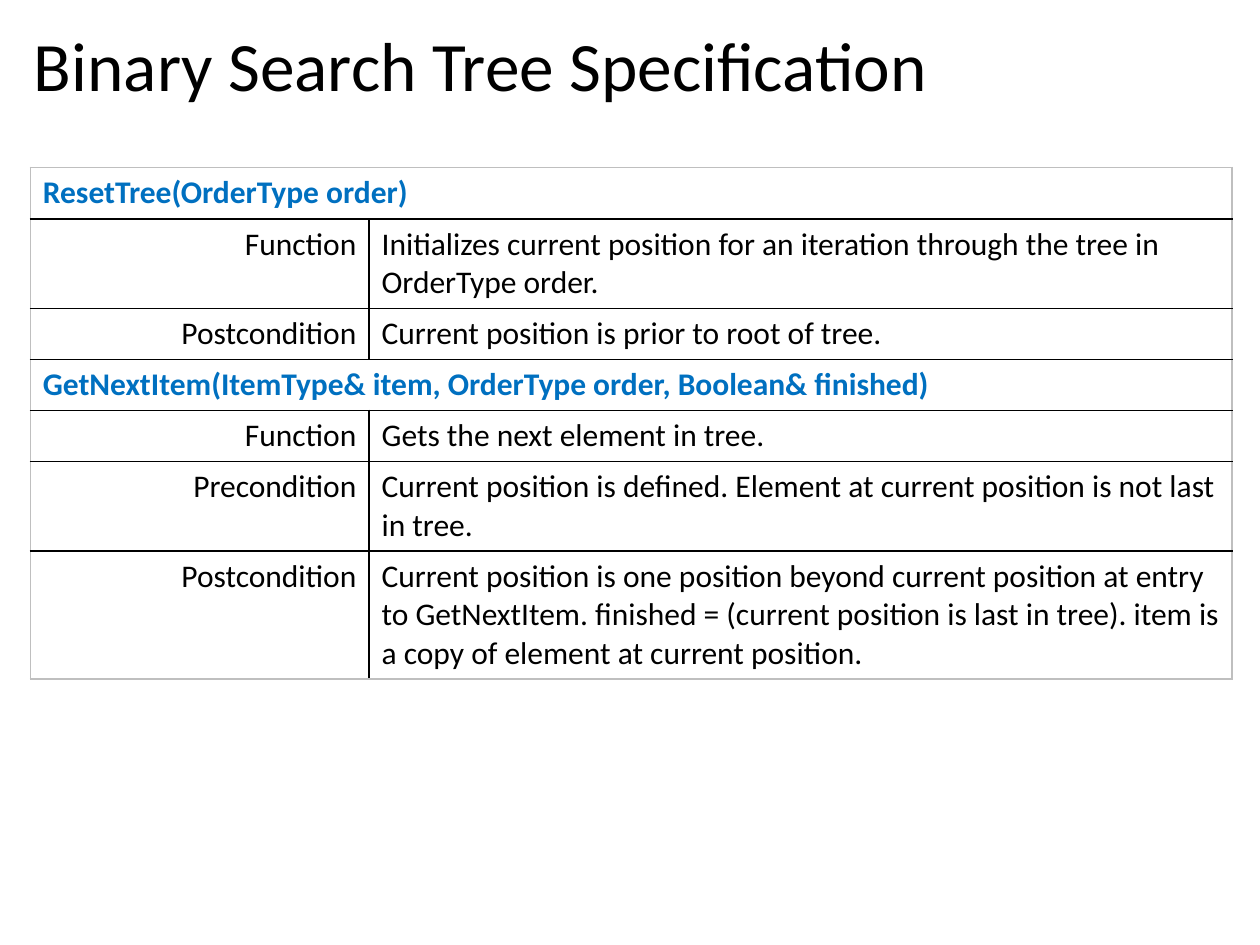
import pptx
import pptx.util
import pptx.dml.color
import pptx.enum.text
import pptx.oxml
import pptx.oxml.ns

Cm = pptx.util.Cm
Pt = pptx.util.Pt
RGBColor = pptx.dml.color.RGBColor
PP_ALIGN = pptx.enum.text.PP_ALIGN

BLACK = RGBColor(0x00, 0x00, 0x00)
BLUE = RGBColor(0x00, 0x70, 0xC0)
GRAY = RGBColor(0xBF, 0xBF, 0xBF)
FONT = "Calibri"

TITLE = "Binary Search Tree Specification"
ROWS = [
    ("ResetTree(OrderType order)", None, 1),
    ("Function", "Initializes current position for an iteration through the tree in OrderType order.", 2),
    ("Postcondition", "Current position is prior to root of tree.", 1),
    ("GetNextItem(ItemType& item, OrderType order, Boolean& finished)", None, 1),
    ("Function", "Gets the next element in tree.", 1),
    ("Precondition", "Current position is defined. Element at current position is not last in tree.", 2),
    ("Postcondition", "Current position is one position beyond current position at entry to GetNextItem. "
     "finished = (current position is last in tree). item is a copy of element at current position.", 3),
]
COL_WIDTHS = (6.83, 17.4)
ROW_HEIGHT, EXTRA_LINE = 1.03, 0.77


def format_runs(p, size, color, bold=False):
    for r in p.runs:
        r.font.name = FONT
        r.font.size = Pt(size)
        r.font.bold = bold
        r.font.color.rgb = color


def set_borders(cell, borders):
    tc_pr = cell._tc.get_or_add_tcPr()
    for i, (side, color) in enumerate(borders):
        ln = pptx.oxml.parse_xml(
            f'<a:{side} {pptx.oxml.ns.nsdecls("a")} w="{Pt(1)}"><a:solidFill>'
            f'<a:srgbClr val="{color}"/></a:solidFill></a:{side}>')
        tc_pr.insert(i, ln)


def fill_cell(cell, text, align, color, bold):
    cell.text_frame.text = text
    p = cell.text_frame.paragraphs[0]
    p.alignment = align
    format_runs(p, 18, color, bold)


def add_title(s):
    sp = s.shapes.title
    sp.left, sp.top, sp.width, sp.height = Cm(0.43), Cm(0.46), Cm(24.43), Cm(1.88)
    tf = sp.text_frame
    tf.text = TITLE
    tf.word_wrap = True
    tf.vertical_anchor = pptx.enum.text.MSO_ANCHOR.MIDDLE
    p = tf.paragraphs[0]
    p.alignment = PP_ALIGN.LEFT
    p.line_spacing = 0.9
    format_runs(p, 39.6, BLACK)


def add_specification(s):
    heights = [ROW_HEIGHT + EXTRA_LINE * (lines - 1) for _, _, lines in ROWS]
    table = s.shapes.add_table(len(ROWS), 2, Cm(0.61), Cm(3.38),
                               Cm(sum(COL_WIDTHS)), Cm(sum(heights))).table
    table.first_row = table.horz_banding = False
    for column, width in zip(table.columns, COL_WIDTHS):
        column.width = Cm(width)
    last = len(ROWS) - 1
    for i, (label, text, _) in enumerate(ROWS):
        table.rows[i].height = Cm(heights[i])
        left, right = table.cell(i, 0), table.cell(i, 1)
        top = GRAY if i == 0 else BLACK
        bottom = GRAY if i == last else BLACK
        inner = GRAY if text is None else BLACK
        for cell, l_color, r_color in ((left, GRAY, inner), (right, inner, GRAY)):
            cell.fill.background()
            set_borders(cell, (("lnL", l_color), ("lnR", r_color), ("lnT", top), ("lnB", bottom)))
        if text is None:
            left.merge(right)
            fill_cell(left, label, PP_ALIGN.LEFT, BLUE, True)
        else:
            fill_cell(left, label, PP_ALIGN.RIGHT, BLACK, False)
            fill_cell(right, text, PP_ALIGN.LEFT, BLACK, False)


def main():
    prs = pptx.Presentation()
    prs.slide_width, prs.slide_height = Cm(25.4), Cm(19.05)
    s = prs.slides.add_slide(prs.slide_layouts[5])
    add_specification(s)
    add_title(s)
    prs.save("out.pptx")


if __name__ == "__main__":
    main()
